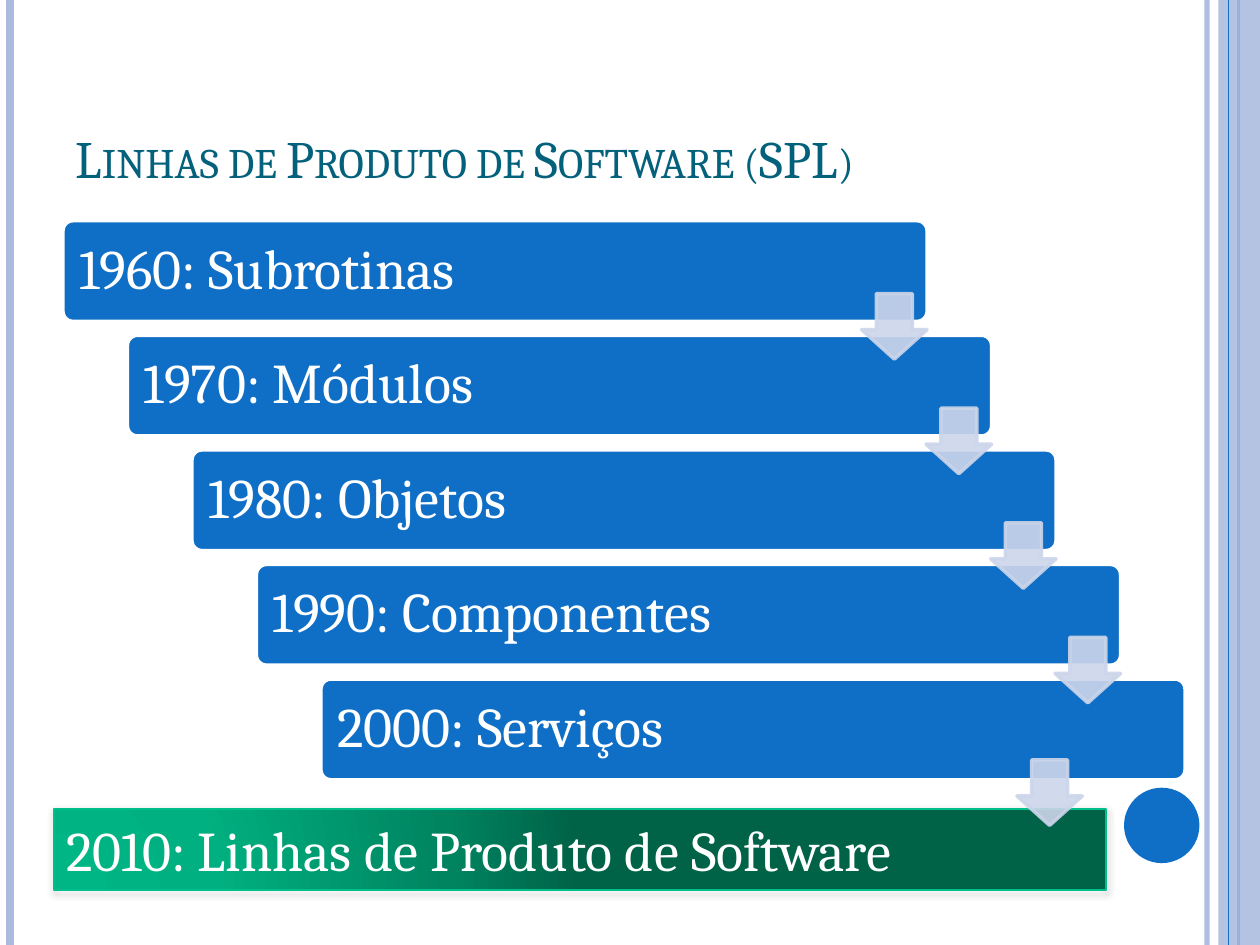
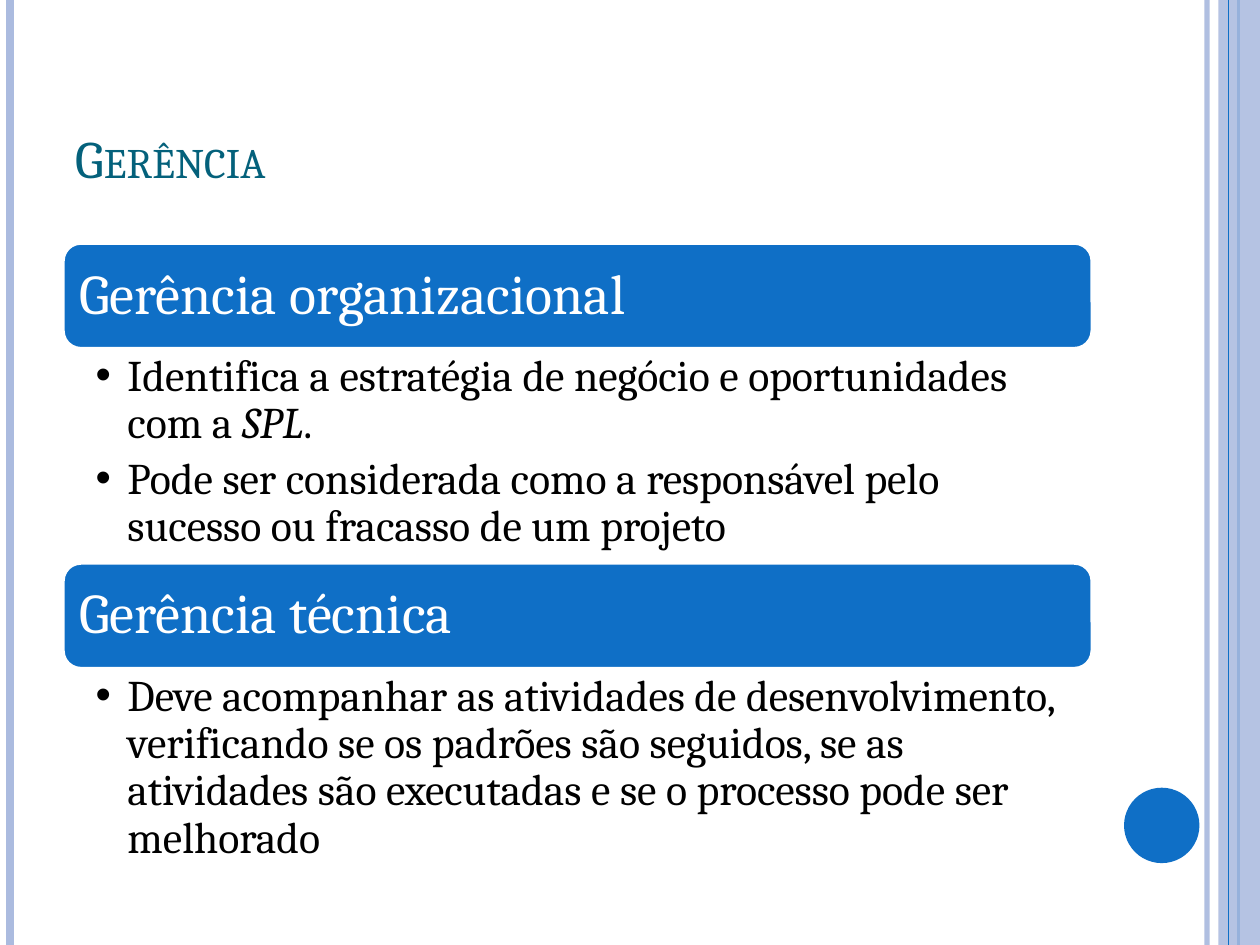
from pptx import Presentation
from pptx import util as u
from pptx.dml.color import RGBColor
from pptx.enum import shapes, text
from pptx.oxml import ns, parse_xml

BLUE = RGBColor(0x0F, 0x6F, 0xC6)
LAVENDER = RGBColor(0xAB, 0xBB, 0xDF)
PALE = RGBColor(0xCC, 0xD5, 0xEA)
TEAL = RGBColor(0x04, 0x61, 0x7B)
GREEN = RGBColor(0x00, 0xBF, 0x8B)
WHITE = RGBColor(0xFF, 0xFF, 0xFF)
BLACK = RGBColor(0, 0, 0)
GREEN_STOPS = ((0, "00B685"), (30, "00B080"), (75, "008460"), (100, "006247"))

FONT = "Cambria"
SLIDE_WIDTH, SLIDE_HEIGHT = 25.4, 19.05
TITLE_BOX = (1.27, 0.76, 20.75, 3.18)
HEADING_SIZE = u.Pt(32)
ARROW_SIZE = 1.32
ROUND_TEXT_RATIO = 0.29  # share of the corner radius that pushes text inwards

DECADES = ("1960: Subrotinas", "1970: Módulos", "1980: Objetos",
           "1990: Componentes", "2000: Serviços")
MANAGEMENT = (
    ("Gerência organizacional", 4.9, 4.32, (
        (("Identifica a estratégia de negócio e oportunidades com a ", False),
         ("SPL", True), (".", False)),
        (("Pode ser considerada como a responsável pelo sucesso ou fracasso "
          "de um projeto", False),),
    )),
    ("Gerência técnica", 11.35, 4.04, (
        (("Deve acompanhar as atividades de desenvolvimento, verificando se "
          "os padrões são seguidos, se as atividades são executadas e se o "
          "processo pode ser melhorado", False),),
    )),
)


def apply(target, **formats):
    for name, value in formats.items():
        setattr(target, name, value)


def place(part, box):
    apply(part, **dict(zip(("left", "top", "width", "height"), map(u.Cm, box))))


def style_font(font, size, color, italic=False):
    apply(font, name=FONT, size=size, italic=italic, bold=False)
    font.color.rgb = color


def set_opacity(part, percent):
    for color in part._element.spPr.iter(ns.qn("a:srgbClr")):
        alpha = color.makeelement(ns.qn("a:alpha"), {"val": str(percent * 1000)})
        color.append(alpha)


def add_part(slide, kind, box, fill=None, line=None, line_width=2):
    part = slide.shapes.add_shape(kind, *map(u.Cm, box))
    part.shadow.inherit = False
    if fill is not None:
        part.fill.solid()
        part.fill.fore_color.rgb = fill
    if line is None:
        part.line.fill.background()
    else:
        part.line.color.rgb = line
        part.line.width = u.Pt(line_width)
    return part


def add_rule(slide, x, color, width, opacity=100):
    """Draw a vertical line over the full slide height."""
    rule = slide.shapes.add_connector(shapes.MSO_CONNECTOR.STRAIGHT,
                                      u.Cm(x), 0, u.Cm(x), u.Cm(SLIDE_HEIGHT))
    rule.line.color.rgb = color
    rule.line.width = u.Pt(width)
    properties = rule._element.spPr
    properties.append(properties.makeelement(ns.qn("a:effectLst"), {}))
    if opacity < 100:
        set_opacity(rule, opacity)


def add_frame(slide):
    """Draw the side bands and the disc shared by every slide."""
    add_rule(slide, 24.33, LAVENDER, 3, 93)
    add_rule(slide, 0.21, LAVENDER, 4.5)
    add_rule(slide, 24.97, BLUE, 1.5)
    band = add_part(slide, shapes.MSO_SHAPE.RECTANGLE,
                    (24.56, 0, 0.84, SLIDE_HEIGHT), LAVENDER)
    set_opacity(band, 87)
    add_rule(slide, 24.77, BLUE, 0.75)
    add_part(slide, shapes.MSO_SHAPE.OVAL, (22.66, 15.88, 1.52, 1.52), BLUE)


def start_slide(deck, layout_index, heading):
    slide = deck.slides.add_slide(deck.slide_layouts[layout_index])
    add_frame(slide)
    title = slide.shapes.title
    place(title, TITLE_BOX)
    title.text = heading
    apply(title.text_frame, vertical_anchor=text.MSO_ANCHOR.BOTTOM,
          auto_size=text.MSO_AUTO_SIZE.NONE)
    paragraph = title.text_frame.paragraphs[0]
    paragraph.alignment = text.PP_ALIGN.LEFT
    run = paragraph.runs[0]
    style_font(run.font, u.Pt(30), TEAL)
    run._r.get_or_add_rPr().set("cap", "small")
    return slide


def write_label(part, label, margin, line_spacing=1.0):
    frame = part.text_frame
    apply(frame, word_wrap=True, vertical_anchor=text.MSO_ANCHOR.MIDDLE,
          margin_left=u.Cm(margin), margin_right=u.Cm(margin))
    paragraph = frame.paragraphs[0]
    paragraph.text = label
    apply(paragraph, alignment=text.PP_ALIGN.LEFT, line_spacing=line_spacing)
    style_font(paragraph.runs[0].font, HEADING_SIZE, WHITE)


def add_heading_bar(slide, box, label, corner):
    bar = add_part(slide, shapes.MSO_SHAPE.ROUNDED_RECTANGLE, box, BLUE, WHITE)
    bar.adjustments[0] = corner
    write_label(bar, label, 0.33 - corner * box[3] * ROUND_TEXT_RATIO, 0.9)


def add_arrow(slide, left, top):
    arrow = add_part(slide, shapes.MSO_SHAPE.DOWN_ARROW,
                     (left, top, ARROW_SIZE, ARROW_SIZE), PALE, PALE)
    arrow.adjustments[0] = 0.55
    arrow.adjustments[1] = 0.45
    set_opacity(arrow, 90)


def add_staircase(slide, box, step_x, step_y):
    """Draw the decade bars from the first bar's box, then the arrows between them."""
    left, top, width, height = box
    for step, decade in enumerate(DECADES):
        add_heading_bar(slide, (left + step * step_x, top + step * step_y,
                                width, height), decade, 0.1)
    for step in range(len(DECADES) - 1):
        add_arrow(slide, left + width - ARROW_SIZE + step * step_x,
                  top + 1.47 + step * step_y)


def add_current_decade(slide, box):
    bar = add_part(slide, shapes.MSO_SHAPE.RECTANGLE, box, line=GREEN, line_width=1)
    stops = "".join(f'<a:gs pos="{position * 1000}"><a:srgbClr val="{color}"/></a:gs>'
                    for position, color in GREEN_STOPS)
    gradient = parse_xml(
        f'<a:gradFill {ns.nsdecls("a")} rotWithShape="1"><a:gsLst>{stops}</a:gsLst>'
        '<a:path path="circle"><a:fillToRect l="5000" t="100000" r="120000" '
        'b="10000"/></a:path></a:gradFill>')
    properties = bar._element.spPr
    properties.find(ns.qn("a:prstGeom")).addnext(gradient)
    properties.find(ns.qn("a:effectLst")).append(parse_xml(
        f'<a:outerShdw {ns.nsdecls("a")} blurRad="{u.Pt(4)}" dist="{u.Pt(1.6)}" '
        'dir="5400000" rotWithShape="0"><a:srgbClr val="000000">'
        '<a:alpha val="42000"/></a:srgbClr></a:outerShdw>'))
    write_label(bar, "2010: Linhas de Produto de Software", 0.25)
    left, top, width, _ = box
    add_arrow(slide, left + width - 1.8, top - 0.99)


def fill_list(body, box, items):
    place(body, box)
    frame = body.text_frame
    apply(frame, word_wrap=True, auto_size=text.MSO_AUTO_SIZE.NONE,
          vertical_anchor=text.MSO_ANCHOR.TOP,
          margin_left=u.Cm(0.66), margin_right=u.Cm(0.64),
          margin_top=u.Cm(0.1), margin_bottom=u.Cm(0.1))
    for index, pieces in enumerate(items):
        paragraph = frame.add_paragraph() if index else frame.paragraphs[0]
        apply(paragraph, line_spacing=0.9, space_before=u.Pt(0), space_after=u.Pt(5))
        indents = paragraph._p.get_or_add_pPr()
        indents.set("marL", str(u.Cm(0.64)))
        indents.set("indent", str(-u.Cm(0.64)))
        bullet = f'<a:buChar {ns.nsdecls("a")} char="•"/>'
        indents.append(parse_xml(bullet))
        for words, italic in pieces:
            run = paragraph.add_run()
            run.text = words
            style_font(run.font, u.Pt(25), BLACK, italic)


def build_history(deck):
    slide = start_slide(deck, 5, "Linhas de Produto de Software (SPL)")
    add_staircase(slide, (1.27, 4.45, 17.42, 2.03), 1.3, 2.31)
    add_current_decade(slide, (1.09, 16.31, 21.21, 1.63))


def build_management(deck):
    slide = start_slide(deck, 3, "Gerência")
    left, width, bar_height = 1.27, 20.75, 2.13
    for number, (heading, top, list_height, items) in enumerate(MANAGEMENT, 1):
        add_heading_bar(slide, (left, top, width, bar_height), heading, 0.17)
        fill_list(slide.placeholders[number],
                  (left, top + bar_height, width, list_height), items)


def main():
    deck = Presentation()
    apply(deck, slide_width=u.Cm(SLIDE_WIDTH), slide_height=u.Cm(SLIDE_HEIGHT))
    build_history(deck)
    build_management(deck)
    deck.save("out.pptx")


if __name__ == "__main__":
    main()
